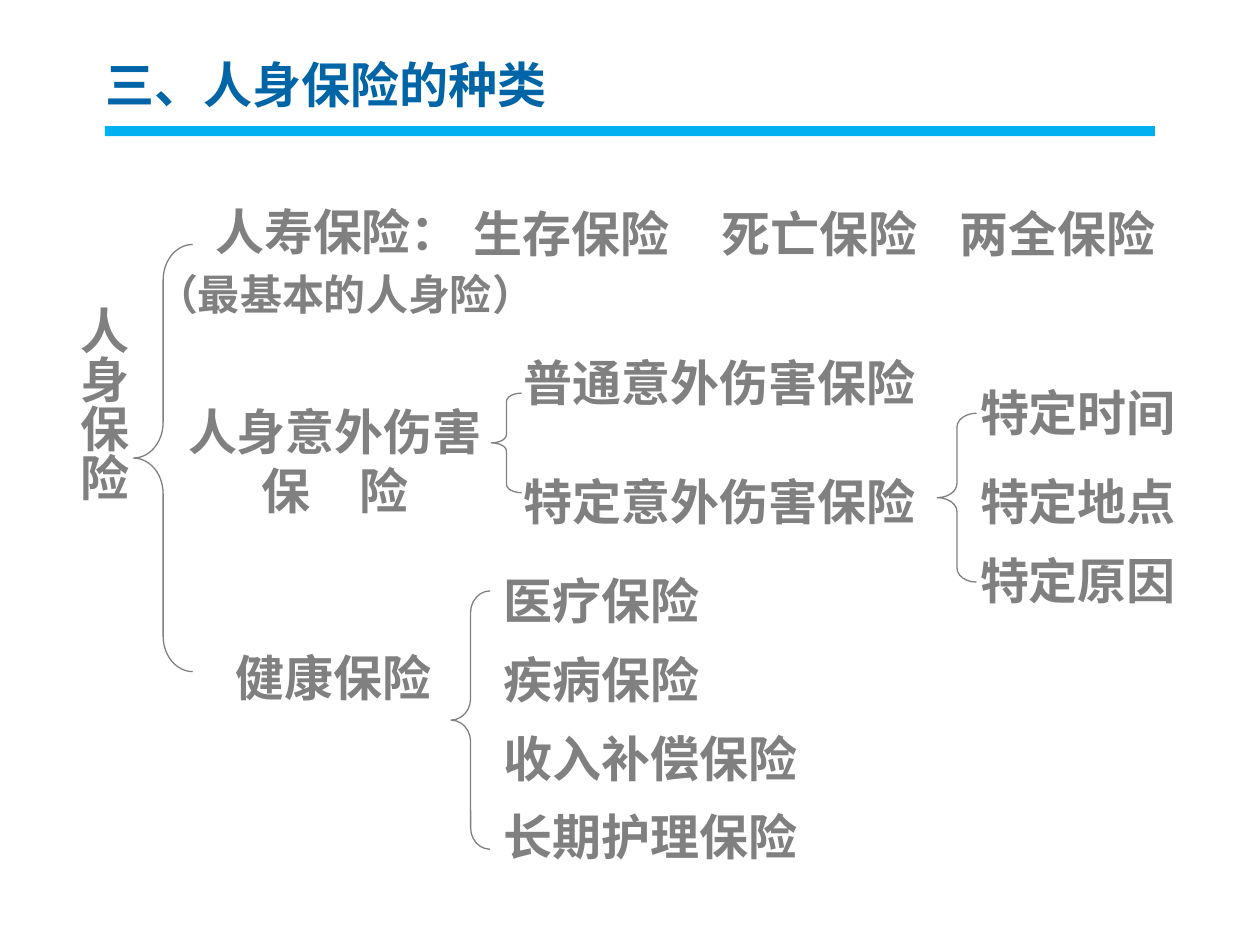
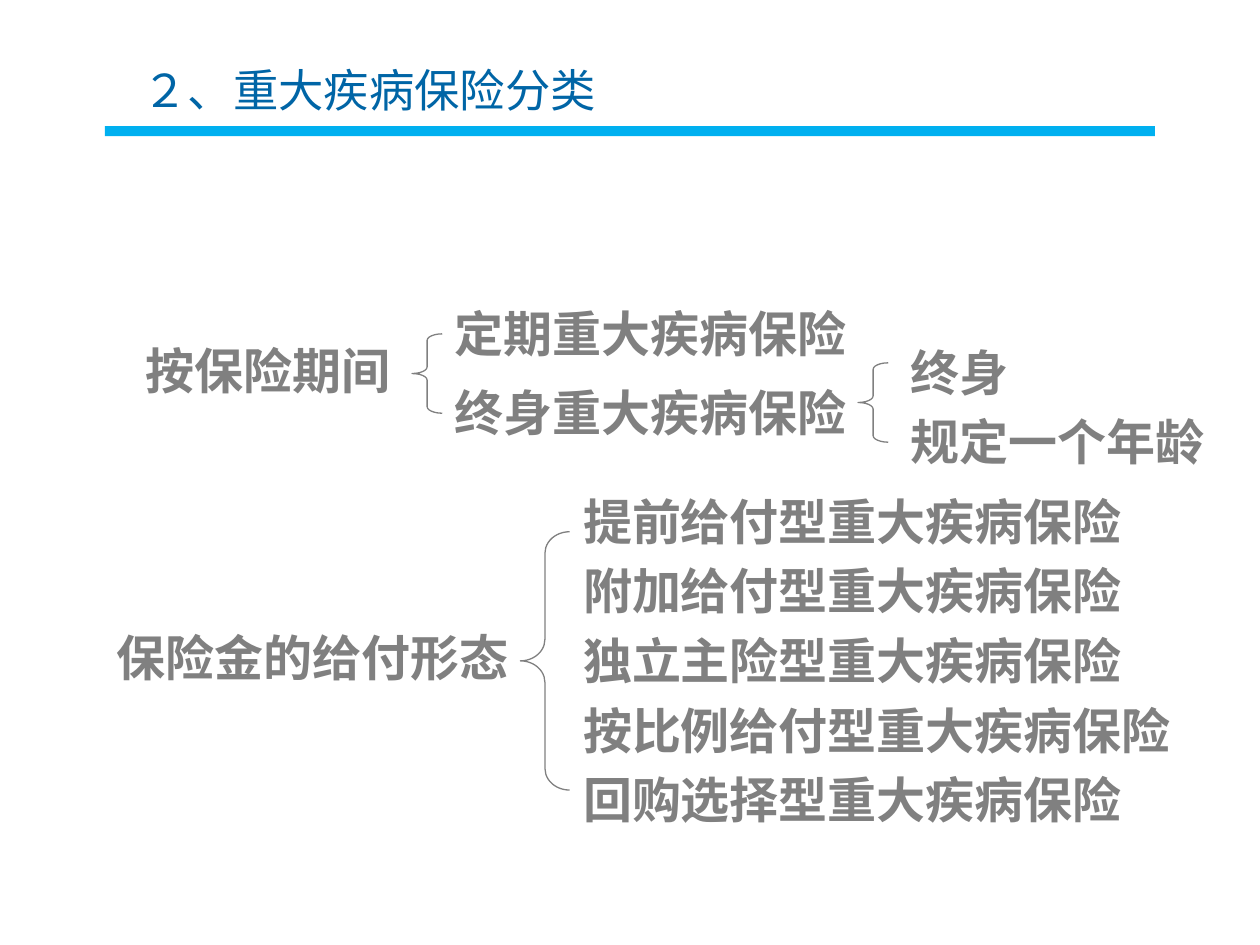
"""Build two slides that classify personal insurance with brace diagrams."""
from collections import namedtuple

from pptx import Presentation
from pptx.dml.color import RGBColor
from pptx.enum.shapes import MSO_SHAPE
from pptx.enum.text import MSO_ANCHOR, MSO_AUTO_SIZE, PP_ALIGN
from pptx.oxml.ns import qn
from pptx.util import Inches, Pt

RECTANGLE, LEFT_BRACE = MSO_SHAPE.RECTANGLE, MSO_SHAPE.LEFT_BRACE
TOP = MSO_ANCHOR.TOP
FIT_SHAPE, NO_FIT = MSO_AUTO_SIZE.SHAPE_TO_FIT_TEXT, MSO_AUTO_SIZE.NONE
LEFT, CENTER = PP_ALIGN.LEFT, PP_ALIGN.CENTER

BLUE = RGBColor(0x00, 0x65, 0xA6)
SKY = RGBColor(0x00, 0xB0, 0xF0)
GRAY = RGBColor(0x80, 0x80, 0x80)
FONT = "Noto Sans CJK SC"
TITLE_ONLY = 5

SLIDE_WIDTH, SLIDE_HEIGHT = Inches(10), Inches(7.5)
COLUMNS, ROWS = 100, 75
LABEL_HEIGHT = 5.7
LABEL_PADDING = 2
POINTS_PER_COLUMN = 7.2
BRACE_CURVE = 0.08333

Box = namedtuple("Box", "left top width height")
BAND = Box(8.33, 10, 83.33, 0.8)


def to_slide(box):
    """Convert a box in grid units to slide lengths."""
    return (
        int(box.left * SLIDE_WIDTH / COLUMNS),
        int(box.top * SLIDE_HEIGHT / ROWS),
        int(box.width * SLIDE_WIDTH / COLUMNS),
        int(box.height * SLIDE_HEIGHT / ROWS),
    )


def even_rows(first, pitch, count):
    """Return equally spaced row positions."""
    return [first + pitch * index for index in range(count)]


def write_text(frame, text, *, size=28, color=GRAY, bold=True, align=LEFT):
    """Fill a text frame, one paragraph for each line of text."""
    frame.text = text
    for paragraph in frame.paragraphs:
        paragraph.alignment = align
        for run in paragraph.runs:
            font = run.font
            font.name, font.size, font.bold = FONT, Pt(size), bold
            font.color.rgb = color
            east_asian = run._r.get_or_add_rPr().makeelement(qn("a:ea"), {"typeface": FONT})
            font._rPr.find(qn("a:latin")).addnext(east_asian)


def add_label(slide, text, left, top, *, width=None, height=LABEL_HEIGHT, size=28, align=LEFT):
    """Add a label whose width follows its longest line."""
    if width is None:
        longest = max(len(line) for line in text.split("\n"))
        width = longest * size / POINTS_PER_COLUMN + LABEL_PADDING
    shape = slide.shapes.add_textbox(*to_slide(Box(left, top, width, height)))
    frame = shape.text_frame
    frame.word_wrap = False
    frame.auto_size = FIT_SHAPE
    write_text(frame, text, size=size, align=align)
    return shape


def add_brace(slide, box):
    """Draw a left brace whose curves follow its height."""
    brace = slide.shapes.add_shape(LEFT_BRACE, *to_slide(box))
    brace.shadow.inherit = False
    brace.fill.background()
    brace.line.color.rgb = GRAY
    brace.line.width = Pt(0.75)
    brace.adjustments[0] = BRACE_CURVE * box.height / min(box.width, box.height)


def add_branch(slide, box, labels, gap, rows):
    """Draw a brace in the box and labels to its right, in rows below its top."""
    add_brace(slide, box)
    for label, row in zip(labels, rows):
        add_label(slide, label, box.left + box.width + gap, box.top + row)


def add_titled_slide(presentation, title, box, *, inset=0.1, size=28, bold=True):
    """Add a slide with its title and the band under it."""
    slide = presentation.slides.add_slide(presentation.slide_layouts[TITLE_ONLY])
    band = slide.shapes.add_shape(RECTANGLE, *to_slide(BAND))
    band.shadow.inherit = False
    band.fill.solid()
    band.fill.fore_color.rgb = SKY
    band.line.fill.background()
    shape = slide.shapes.title
    shape.left, shape.top, shape.width, shape.height = to_slide(box)
    frame = shape.text_frame
    frame.vertical_anchor = TOP
    frame.auto_size = NO_FIT
    frame.margin_left = Inches(inset)
    write_text(frame, title, size=size, color=BLUE, bold=bold)
    return slide


def add_root(slide, box):
    """Add the vertical root label and the brace over all kinds."""
    root = add_label(slide, "人身保险", box.left, box.top + 3.9, width=6.6, height=27.6, align=CENTER)
    frame = root.text_frame
    frame.margin_left = frame.margin_right = Inches(0.05)
    frame.margin_top = frame.margin_bottom = Inches(0.1)
    frame.word_wrap = True
    frame._txBody.bodyPr.set("vert", "eaVert")
    add_brace(slide, Box(box.left + 6.2, box.top, 4.7, box.height))


def add_life_region(slide, box):
    """Add life insurance, its note and its three forms."""
    add_label(slide, "人寿保险：", box.left + 4.7, box.top, width=22)
    add_label(slide, "（最基本的人身险）", box.left, box.top + 5.3, height=5, size=24)
    for text, column in (("生存保险", 25.2), ("死亡保险", 44.9), ("两全保险", 63.8)):
        add_label(slide, text, box.left + column, box.top + 0.2)


def add_accident_region(slide, box):
    """Add accident insurance with its two levels of branches."""
    add_label(slide, "人身意外伤害\n保　险", box.left, box.top + 3.9, height=10.4, align=CENTER)
    add_branch(slide, Box(box.left + 25.1, box.top + 3.7, 2.4, 7.9),
               ["普通意外伤害保险", "特定意外伤害保险"], -0.8, even_rows(-3.7, 9.4, 2))
    add_branch(slide, Box(box.left + 60.5, box.top + 5.3, 3.1, 13.4),
               ["特定时间", "特定地点", "特定原因"], -0.7, (-2.9, 4.1, 10.4))


def add_health_region(slide, box):
    """Add health insurance and its four kinds."""
    add_label(slide, "健康保险", box.left, box.top + 6.1)
    add_branch(slide, Box(box.left + 18.1, box.top + 2.1, 3.1, 20.5),
               ["医疗保险", "疾病保险", "收入补偿保险", "长期护理保险"],
               0.1, even_rows(-2.1, 6.25, 4))


def add_period_region(slide, box):
    """Add the classes by insured period."""
    add_label(slide, "按保险期间", box.left, box.top + 2.9, width=22)
    add_branch(slide, Box(box.left + 22.1, box.top + 2.9, 2.4, 6.3),
               ["定期重大疾病保险", "终身重大疾病保险"], 0, even_rows(-2.9, 6.3, 2))
    add_branch(slide, Box(box.left + 57.5, box.top + 5.2, 2.4, 6.3),
               ["终身", "规定一个年龄"], 0.8, even_rows(-2.1, 5.5, 2))


def add_payment_region(slide, box):
    """Add the classes by form of benefit payment."""
    kinds = ["提前给付", "附加给付", "独立主险", "按比例给付", "回购选择"]
    add_label(slide, "保险金的给付形态", box.left, box.top + 10.8, width=34.6)
    add_branch(slide, Box(box.left + 33, box.top + 3.7, 3.9, 20.5),
               [f"{kind}型重大疾病保险" for kind in kinds], 0.1, even_rows(-3.7, 5.53, 5))


def main():
    """Build both slides and save them."""
    presentation = Presentation()
    presentation.slide_width, presentation.slide_height = SLIDE_WIDTH, SLIDE_HEIGHT

    kinds = add_titled_slide(presentation, "三、人身保险的种类", Box(7.4, 3.8, 86.8, 6.9))
    add_root(kinds, Box(4.4, 19.4, 11, 33.9))
    add_life_region(kinds, Box(11.4, 15.5, 82, 10.3))
    add_accident_region(kinds, Box(13.9, 27.5, 80.4, 21.4))
    add_health_region(kinds, Box(17.7, 44.8, 46.6, 24.4))

    illness = add_titled_slide(presentation, "２、重大疾病保险分类", Box(8.1, 4.4, 65.5, 6.1),
                               inset=0.32, size=25.9, bold=False)
    add_period_region(illness, Box(10.6, 23.6, 86, 14.3))
    add_payment_region(illness, Box(8.3, 38.5, 85.6, 27.8))
    presentation.save("out.pptx")


if __name__ == "__main__":
    main()
